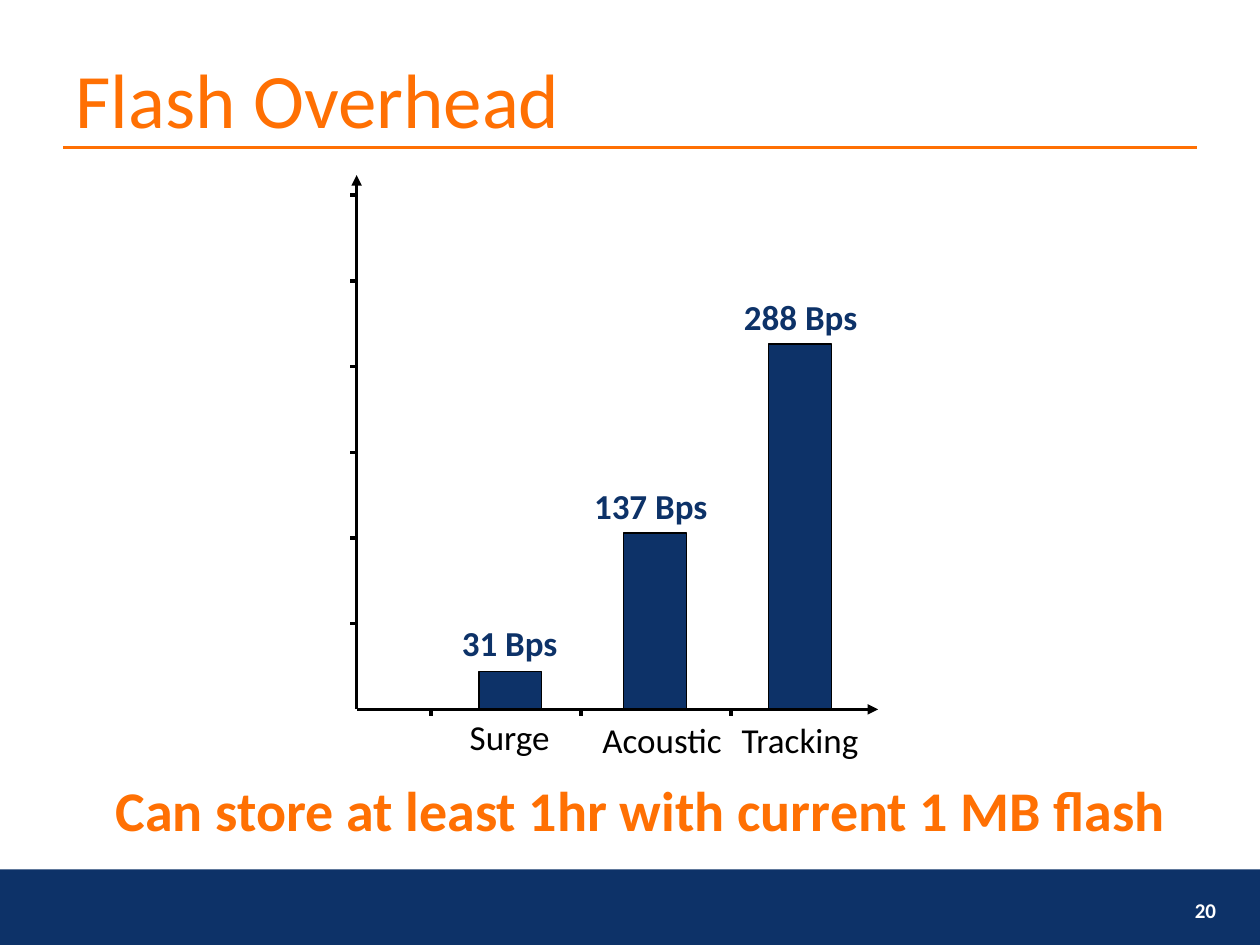
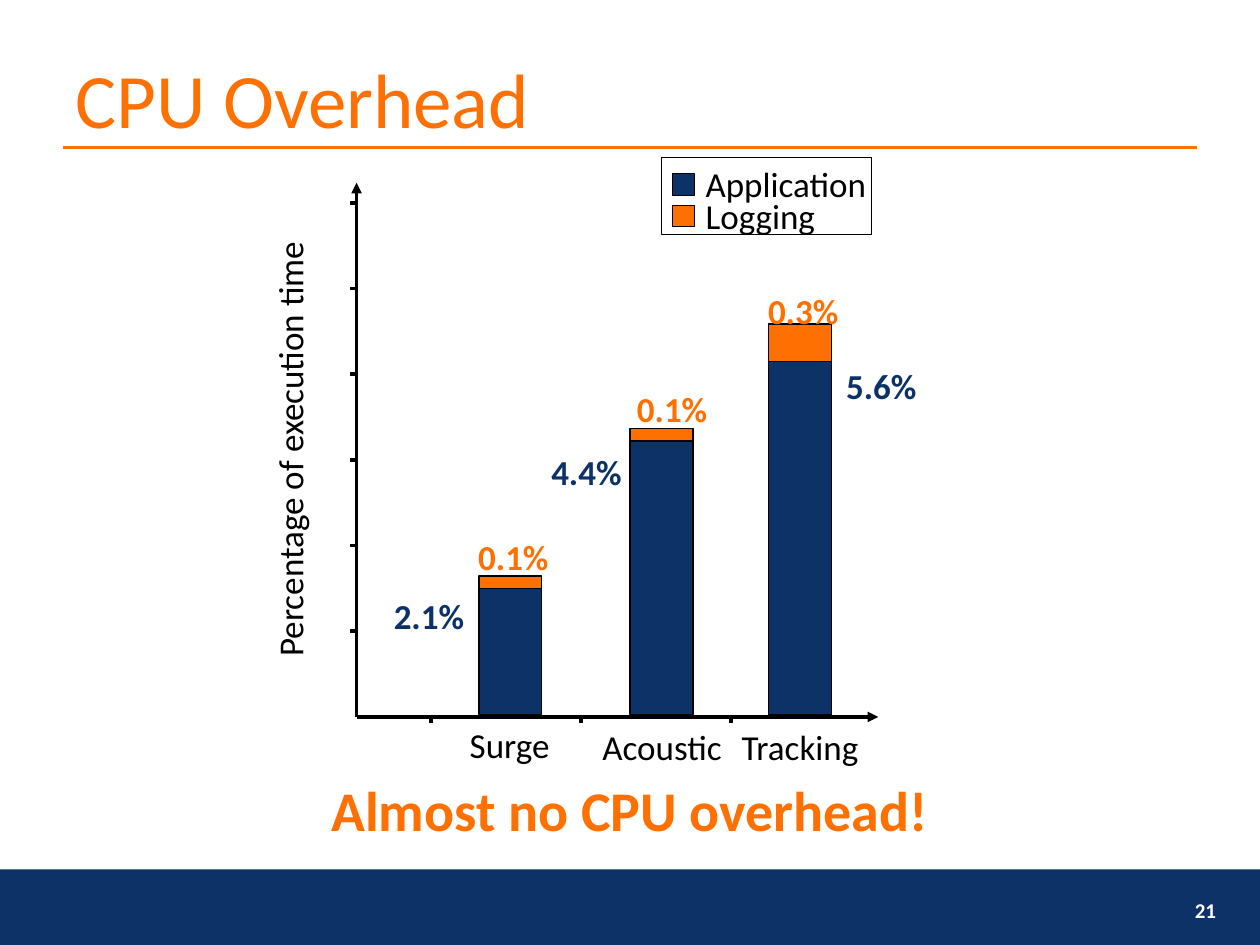
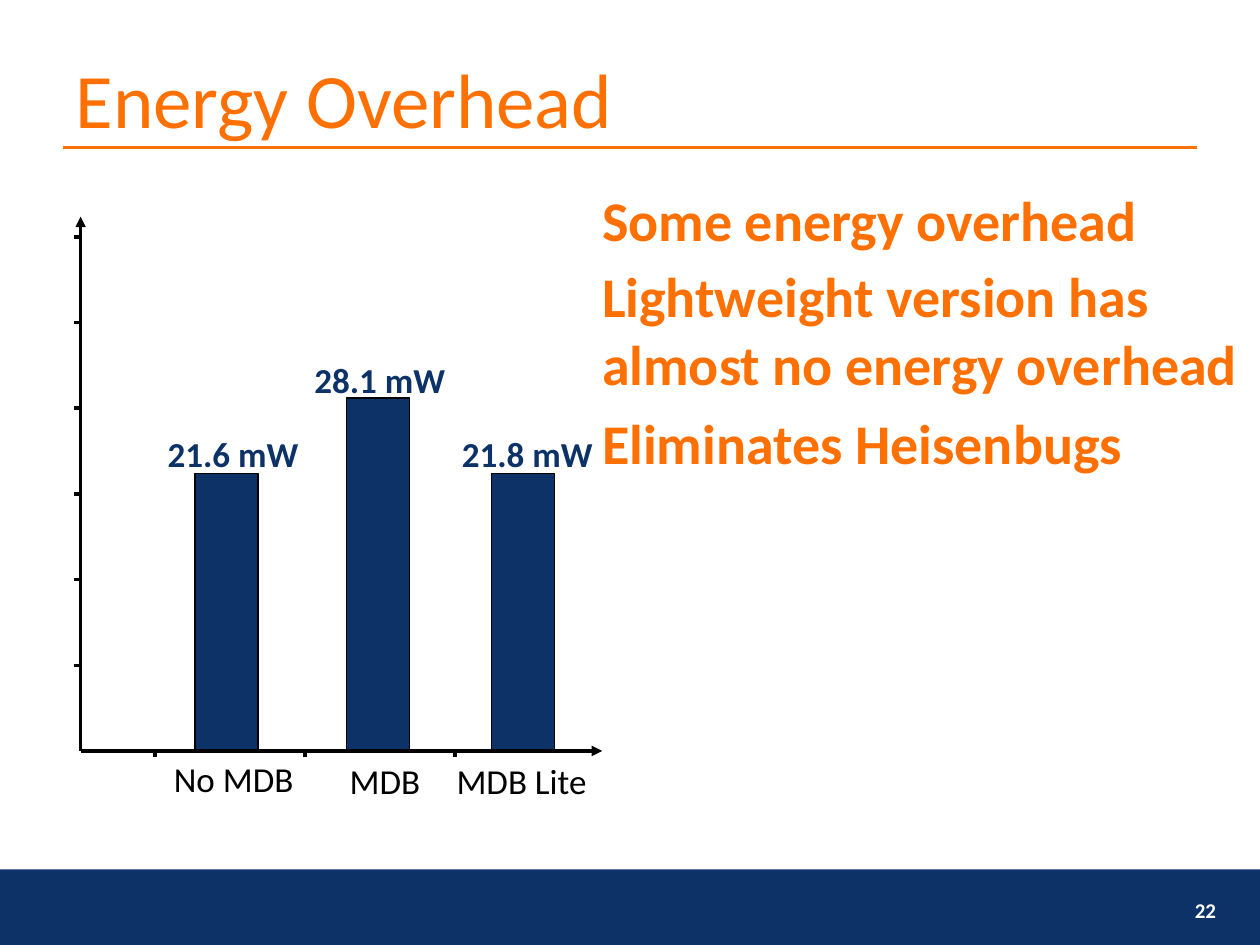
import pptx
import pptx.util
import pptx.dml.color
import pptx.enum.shapes
import pptx.enum.text
import pptx.oxml.ns
import lxml.etree

Inches = pptx.util.Inches
Pt = pptx.util.Pt
RGBColor = pptx.dml.color.RGBColor
Align = pptx.enum.text.PP_ALIGN
Anchor = pptx.enum.text.MSO_ANCHOR
qn = pptx.oxml.ns.qn

NAVY = RGBColor(0x0D, 0x32, 0x68)
ORANGE = RGBColor(0xFF, 0x70, 0x03)
BLACK = RGBColor(0, 0, 0)
WHITE = RGBColor(255, 255, 255)
FONT = "Calibri"


def text(slide, words, place, size=20, color=BLACK, bold=False,
         align=Align.CENTER, wrap=True, pad=(0.1, 0.05)):
    box = slide.shapes.add_textbox(*map(Inches, place))
    frame = box.text_frame
    frame.word_wrap = wrap
    frame.margin_left = frame.margin_right = Inches(pad[0])
    frame.margin_top = frame.margin_bottom = Inches(pad[1])
    frame.text = words
    for para in frame.paragraphs:
        para.alignment = align
        for run in para.runs:
            run.font.name, run.font.size = FONT, Pt(size)
            run.font.bold, run.font.color.rgb = bold, color
    return box


def line(slide, start, end, color=BLACK, arrow=False):
    rule = slide.shapes.add_connector(
        pptx.enum.shapes.MSO_CONNECTOR.STRAIGHT, *map(Inches, start + end))
    rule.line.color.rgb, rule.line.width = color, Pt(2)
    if arrow:
        tail = lxml.etree.SubElement(rule.line._get_or_add_ln(), qn("a:tailEnd"))
        tail.set("type", "triangle")
    lxml.etree.SubElement(rule._element.spPr, qn("a:effectLst"))


# Bars are (left, height, color, gap under the bar), names (text, left, width),
# values (text, left, top, width, color), claims (text, left, top, width, height)
SLIDES = [
    {
        "title": "Flash Overhead", "start": (2.83, 5.63), "base": 5.63,
        "bars": [(3.8, 0.3, NAVY, 0), (4.95, 1.4, NAVY, 0), (6.1, 2.9, NAVY, 0)],
        "names": [("Surge", 3.34, 1.41), ("Acoustic", 4.67, 1.17),
                  ("Tracking", 5.75, 1.2)],
        "values": [("31 Bps", 3.47, 4.88, 1.15, NAVY),
                   ("137 Bps", 4.54, 3.8, 1.25, NAVY),
                   ("288 Bps", 5.77, 2.3, 1.17, NAVY)],
        "claims": [("Can store at least 1hr with current 1 MB flash",
                    0.82, 6.11, 8.57, 0.64)],
    },
    {
        "title": "CPU Overhead", "start": (2.83, 5.69), "base": 5.67,
        "bars": [(3.8, 1, NAVY, 0), (5, 2.2, NAVY, 0), (6.1, 2.8, NAVY, 0),
                 (3.8, 0.1, ORANGE, 1), (5, 0.1, ORANGE, 2.17),
                 (6.1, 0.3, ORANGE, 2.8)],
        "names": [("Surge", 3.34, 1.41), ("Acoustic", 4.67, 1.17),
                  ("Tracking", 5.75, 1.2)],
        "values": [("0.1%", 3.5, 4.2, 1.15, ORANGE),
                   ("0.1%", 4.75, 3.03, 1.17, ORANGE),
                   ("0.3%", 5.75, 2.25, 1.25, ORANGE),
                   ("2.1%", 2.83, 4.67, 1.15, NAVY),
                   ("4.4%", 4.08, 3.53, 1.15, NAVY),
                   ("5.6%", 6.42, 2.84, 1.15, NAVY)],
        "claims": [("Almost no CPU overhead!", 2.53, 6.11, 4.95, 0.64)],
        "legend": [("Application", NAVY), ("Logging", ORANGE)],
        "axis": "Percentage of execution time",
    },
    {
        "title": "Energy Overhead", "start": (0.64, 5.96), "base": 5.96,
        "bars": [(1.55, 2.2, NAVY, 0), (2.75, 2.8, NAVY, 0), (3.9, 2.2, NAVY, 0)],
        "names": [("No MDB", 1.15, 1.41), ("MDB", 2.47, 1.17),
                  ("MDB Lite", 3.39, 1.5)],
        "values": [("21.6 mW", 1.14, 3.38, 1.42, NAVY),
                   ("28.1 mW", 2.39, 2.8, 1.25, NAVY),
                   ("21.8 mW", 3.4, 3.38, 1.57, NAVY)],
        "claims": [("Some energy overhead", 4.68, 1.42, 4.45, 0.64),
                   ("Lightweight version has\nalmost no energy overhead",
                    4.68, 2.03, 5.26, 1.17),
                   ("Eliminates Heisenbugs", 4.68, 3.19, 4.34, 0.64)],
    },
]

deck = pptx.Presentation()
deck.slide_width, deck.slide_height = Inches(10), Inches(7.5)

for page, data in enumerate(SLIDES, 20):
    slide = deck.slides.add_slide(deck.slide_layouts[5])
    legend = data.get("legend", [])

    # Title
    title = slide.shapes.title
    title.left, title.top = Inches(0.5), Inches(0.3)
    title.width, title.height = Inches(9), Inches(0.95)
    title.text_frame.text = data["title"]
    title.text_frame.vertical_anchor = Anchor.MIDDLE
    para = title.text_frame.paragraphs[0]
    para.alignment = Align.LEFT
    font = para.runs[0].font
    font.name, font.size, font.color.rgb = FONT, Pt(44), ORANGE

    # Footer band, bars and legend boxes: place, fill, line width
    rects = [((0, 6.9, 10, 0.6), NAVY, None)]
    for left, high, color, gap in data["bars"]:
        rects.append(((left, data["base"] - gap - high, 0.5, high), color, 0.88))
    if legend:
        rects.append(((5.25, 1.25, 1.67, 0.61), WHITE, 0))
    for row, (name, color) in enumerate(legend):
        rects.append(((5.34, 1.38 + 0.25 * row, 0.17, 0.17), color, 0.75))
    for place, fill, width in rects:
        rect = slide.shapes.add_shape(
            pptx.enum.shapes.MSO_SHAPE.RECTANGLE, *map(Inches, place))
        rect.shadow.inherit = False
        rect.fill.solid()
        rect.fill.fore_color.rgb = fill
        if width is None:
            rect.line.fill.background()
        else:
            rect.line.color.rgb, rect.line.width = BLACK, Pt(width)

    # Title rule and page number
    line(slide, (0.5, 1.17), (9.5, 1.17), ORANGE)
    number = text(slide, str(page), (7.42, 7.02, 2.33, 0.4), 12, WHITE, True,
                  Align.RIGHT)
    number.text_frame.vertical_anchor = Anchor.MIDDLE

    # Axes and ticks
    x, y = data["start"]
    line(slide, (x, y), (x, y - 4.24), arrow=True)
    line(slide, (x, y), (x + 4.14, y), arrow=True)
    for step in range(1, 7):
        line(slide, (x - 0.05, y - 0.68 * step), (x, y - 0.68 * step))
    for step in range(3):
        mark = x + 0.59 + 1.19 * step
        line(slide, (mark, y + 0.05), (mark, y))

    # Chart labels
    for spot, (name, left, wide) in enumerate(data["names"]):
        text(slide, name, (left, y + (0.02 if spot else 0), wide, 0.52))
    for value, left, top, wide, color in data["values"]:
        text(slide, value, (left, top, wide, 0.36), color=color, bold=True)
    for row, (name, color) in enumerate(legend):
        text(slide, name, (5.6, 1.29 + 0.25 * row, 3.6, 0.33),
             align=Align.LEFT, pad=(0, 0))
    if "axis" in data:
        label = text(slide, data["axis"], (0.54, 3.33, 3.52, 0.44),
                     align=Align.LEFT, wrap=False)
        label.rotation = 270

    # Claims
    for words, *place in data["claims"]:
        text(slide, words, place, 32, ORANGE, True, Align.LEFT, False)

deck.save("out.pptx")
